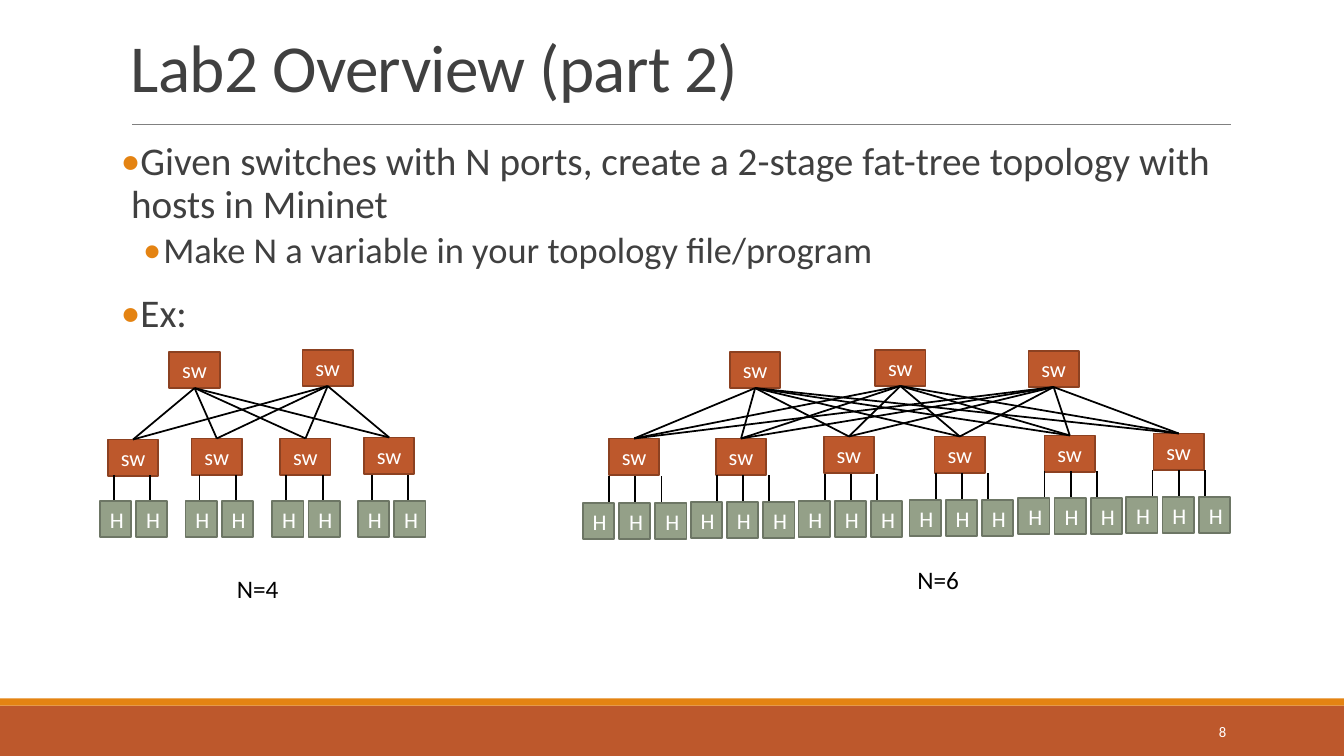
import pptx
import pptx.util
import pptx.dml.color
import pptx.enum.shapes
import pptx.enum.text
import pptx.oxml
import pptx.oxml.ns
from pptx.util import Inches, Pt

RGBColor = pptx.dml.color.RGBColor
Align = pptx.enum.text.PP_ALIGN
Anchor = pptx.enum.text.MSO_ANCHOR

RUST = RGBColor(0xBD, 0x58, 0x2C)
RUST_EDGE = RGBColor(0x8C, 0x41, 0x21)
ORANGE = RGBColor(0xE4, 0x83, 0x12)
SAGE = RGBColor(0x94, 0xA0, 0x88)
SAGE_EDGE = RGBColor(0x6D, 0x76, 0x65)
DARK = RGBColor(0x40, 0x40, 0x40)
GRAY = RGBColor(0x80, 0x80, 0x80)
BLACK = RGBColor(0, 0, 0)
WHITE = RGBColor(0xFF, 0xFF, 0xFF)
FONT = "Calibri"

TITLE = "Lab2 Overview (part 2)"
SLIDE_NUMBER = "8"
# text, level
BULLETS = [
    ("Given switches with N ports, create a 2-stage fat-tree topology with hosts in Mininet", 0),
    ("Make N a variable in your topology file/program", 1),
    ("Ex:", 0),
]
# size, left margin, hanging indent, space before, space after
LEVELS = [(28, 0.1, -0.1, 12, 2), (26, 0.42, -0.2, 2, 4)]

# Left and top of the core switches, and of each edge switch with its first host
TREES = [
    {
        "label": "N=4", "label_at": (1.16, 5.57),
        "cores": [(1.68, 3.49), (3, 3.47)],
        "pods": [((1.07, 4.36), (0.99, 4.97)), ((1.9, 4.35), (1.84, 4.97)),
                 ((2.78, 4.35), (2.7, 4.97)), ((3.61, 4.34), (3.55, 4.97))],
        "hosts": 2, "link_start": 0.14, "link_pitch": 0.36, "link_gap": 0,
    },
    {
        "label": "N=6", "label_at": (7.91, 5.48),
        "cores": [(7.24, 3.49), (8.68, 3.47), (10.2, 3.48)],
        "pods": [((6.04, 4.35), (5.78, 4.99)), ((7.1, 4.35), (6.85, 4.98)),
                 ((8.17, 4.33), (7.92, 4.97)), ((9.27, 4.33), (9.02, 4.96)),
                 ((10.36, 4.32), (10.1, 4.94)), ((11.44, 4.3), (11.17, 4.93))],
        "hosts": 3, "link_start": 0.26, "link_pitch": 0.26, "link_gap": 0.01,
    },
]
SWITCH_WIDTH, HOST_WIDTH, NODE_HEIGHT = 0.5, 0.31, 0.36
HOST_PITCH, LINK_LENGTH = 0.36, 0.26

deck = pptx.Presentation()
deck.slide_width, deck.slide_height = Inches(13.33), Inches(7.5)
page = deck.slides.add_slide(deck.slide_layouts[6])


def style_para(para, size, color, align):
    para.alignment = align
    for span in para.runs:
        span.font.name, span.font.size = FONT, Pt(size)
        span.font.color.rgb = color


def add_rect(left, top, width, height, fill, edge=None, text=""):
    box = page.shapes.add_shape(
        pptx.enum.shapes.MSO_SHAPE.RECTANGLE,
        Inches(left), Inches(top), Inches(width), Inches(height))
    box.shadow.inherit = False
    box.fill.solid()
    box.fill.fore_color.rgb = fill
    if edge is None:
        box.line.fill.background()
    else:
        box.line.color.rgb = edge
        box.line.width = Pt(1.25)
    if text:
        box.text_frame.text = text
        box.text_frame.vertical_anchor = Anchor.MIDDLE
        style_para(box.text_frame.paragraphs[0], 16, WHITE, Align.CENTER)


def add_line(start, end, color=BLACK, width=1.25):
    line = page.shapes.add_connector(
        pptx.enum.shapes.MSO_CONNECTOR.STRAIGHT,
        Inches(start[0]), Inches(start[1]), Inches(end[0]), Inches(end[1]))
    line.line.color.rgb = color
    line.line.width = Pt(width)
    line._element.spPr.append(pptx.oxml.parse_xml(
        "<a:effectLst %s/>" % pptx.oxml.ns.nsdecls("a")))


def add_text(left, top, width, height, text, size, color,
             align=Align.LEFT, anchor=Anchor.MIDDLE):
    box = page.shapes.add_textbox(
        Inches(left), Inches(top), Inches(width), Inches(height))
    frame = box.text_frame
    frame.word_wrap = True
    frame.vertical_anchor = anchor
    frame.text = text
    for para in frame.paragraphs:
        style_para(para, size, color, align)
    return frame


def add_bullet(para, level):
    size, margin, indent, before, after = LEVELS[level]
    style_para(para, size, DARK, Align.LEFT)
    para.level = level
    para.line_spacing = 0.9
    para.space_before, para.space_after = Pt(before), Pt(after)
    props = para._p.get_or_add_pPr()
    props.set("marL", str(Inches(margin)))
    props.set("indent", str(Inches(indent)))
    names = pptx.oxml.ns.nsdecls("a")
    for xml in (f'<a:buClr {names}><a:srgbClr val="{ORANGE}"/></a:buClr>',
                f'<a:buFont {names} typeface="{FONT}"/>',
                f'<a:buChar {names} char="•"/>'):
        props.append(pptx.oxml.parse_xml(xml))


def add_tree(tree):
    for left, top in tree["cores"]:
        add_rect(left, top, SWITCH_WIDTH, NODE_HEIGHT, RUST, RUST_EDGE, "sw")
    for (left, top), (host_left, host_top) in tree["pods"]:
        add_rect(left, top, SWITCH_WIDTH, NODE_HEIGHT, RUST, RUST_EDGE, "sw")
        for core_left, core_top in tree["cores"]:
            add_line((left + SWITCH_WIDTH / 2, top),
                     (core_left + SWITCH_WIDTH / 2, core_top + NODE_HEIGHT))
        for index in range(tree["hosts"]):
            link_x = host_left + tree["link_start"] + index * tree["link_pitch"]
            link_y = host_top - tree["link_gap"]
            add_line((link_x, link_y), (link_x, link_y - LINK_LENGTH))
            add_rect(host_left + index * HOST_PITCH, host_top,
                     HOST_WIDTH, NODE_HEIGHT, SAGE, SAGE_EDGE, "H")
    add_text(*tree["label_at"], 2.79, 0.54, tree["label"], 18, BLACK, Align.CENTER)


add_rect(0, 7, 13.33, 0.5, RUST)
add_rect(0, 6.93, 13.33, 0.07, ORANGE)
add_line((1.31, 1.23), (12.21, 1.23), GRAY, 0.5)

title = add_text(1.2, 0.31, 11, 0.79, TITLE, 48, DARK, anchor=Anchor.BOTTOM)
title.paragraphs[0].line_spacing = 0.85
title.paragraphs[0].runs[0].font._element.set("spc", "-50")

body = add_text(1.2, 1.36, 11, 5.06, "\n".join(text for text, _ in BULLETS),
                28, DARK, anchor=Anchor.TOP)
body.margin_left = body.margin_right = 0
for para, (_, level) in zip(body.paragraphs, BULLETS):
    add_bullet(para, level)

add_text(10.83, 7.06, 1.43, 0.4, SLIDE_NUMBER, 10.5, WHITE, Align.RIGHT)

for tree in TREES:
    add_tree(tree)

deck.save("out.pptx")
